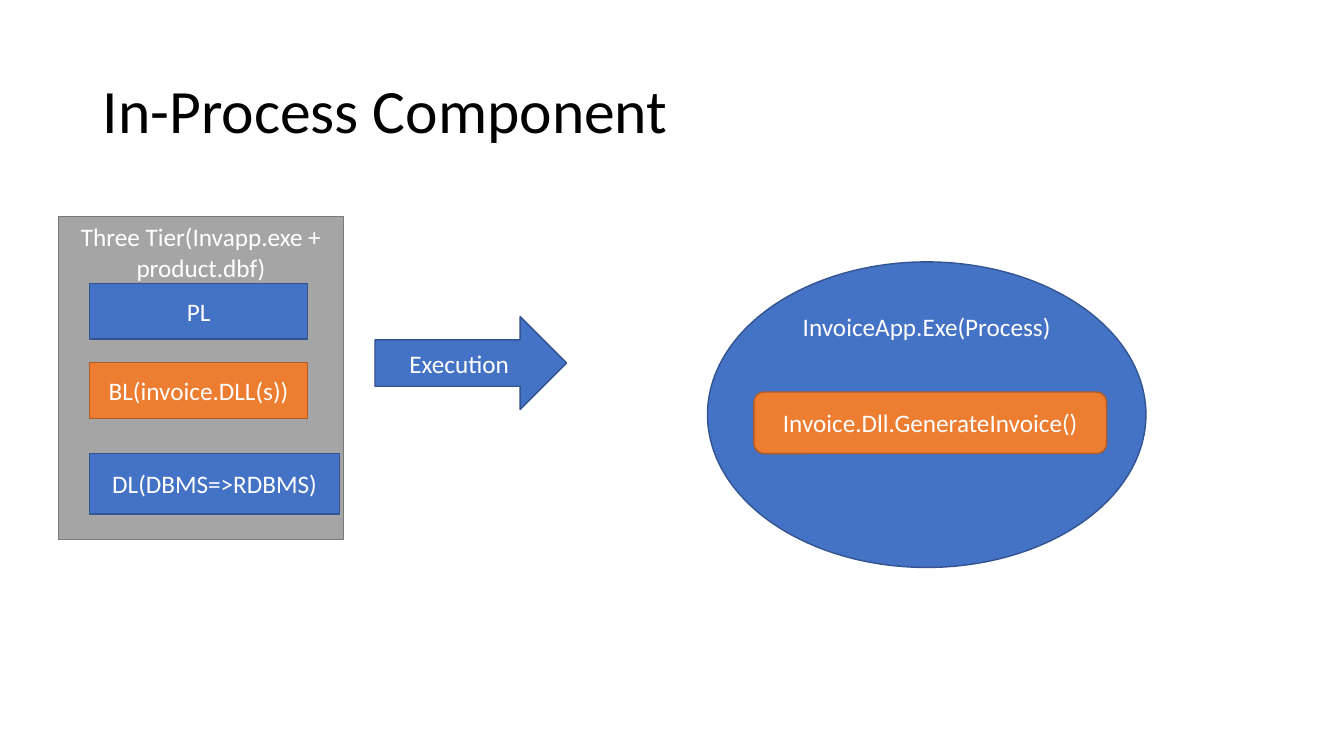
from pptx import Presentation
from pptx.dml.color import RGBColor
from pptx.enum.shapes import MSO_SHAPE as Kind
from pptx.enum.text import MSO_ANCHOR as Anchor, PP_ALIGN as Align
from pptx.util import Cm, Pt

# Content
FONT = "Calibri"
TITLE = "In-Process Component"
GREY, BLUE, ORANGE = ("A5A5A5", "7A7A7A"), ("4472C4", "325491"), ("ED7D31", "AF5C24")
TOP, MID = Anchor.TOP, Anchor.MIDDLE
TIER_X = 2.26

# Kind, (left, top, width, height) in cm, (fill, line), anchor, text
PARTS = [
    (Kind.RECTANGLE, (1.47, 5.46, 7.19, 8.13), GREY, TOP,
     "Three Tier(Invapp.exe + product.dbf)"),
    (Kind.RECTANGLE, (TIER_X, 7.14, 5.49, 1.4), BLUE, MID, "PL"),
    (Kind.RECTANGLE, (TIER_X, 11.43, 6.3, 1.52), BLUE, MID, "DL(DBMS=>RDBMS)"),
    (Kind.RECTANGLE, (TIER_X, 9.14, 5.49, 1.4), ORANGE, MID, "BL(invoice.DLL(s))"),
    (Kind.RIGHT_ARROW, (9.45, 7.98, 4.83, 2.34), BLUE, MID, "Execution"),
    (Kind.OVAL, (17.83, 6.6, 11.05, 7.7), BLUE, TOP, "InvoiceApp.Exe(Process)"),
    (Kind.ROUNDED_RECTANGLE, (19, 9.88, 8.89, 1.55), ORANGE, MID,
     "Invoice.Dll.GenerateInvoice()"),
]


def color(code):
    return RGBColor.from_string(code)


def write(shape, text, size, code, align, anchor):
    frame = shape.text_frame
    frame.word_wrap = True
    frame.vertical_anchor = anchor
    para = frame.paragraphs[0]
    para.alignment = align
    run = para.add_run()
    run.text = text
    run.font.name = FONT
    run.font.size = Pt(size)
    run.font.color.rgb = color(code)
    return para


deck = Presentation()
deck.slide_width, deck.slide_height = Cm(33.87), Cm(19.05)
slide = deck.slides.add_slide(deck.slide_layouts[6])

# Title
title = slide.shapes.add_textbox(Cm(2.34), Cm(1.02), Cm(29.21), Cm(3.68))
write(title, TITLE, 44, "000000", Align.LEFT, MID).line_spacing = 0.9

# Tiers, arrow and process
for kind, box, (fill, line), anchor, text in PARTS:
    shape = slide.shapes.add_shape(kind, *map(Cm, box))
    shape.shadow.inherit = False
    shape.fill.solid()
    shape.fill.fore_color.rgb = color(fill)
    shape.line.color.rgb = color(line)
    shape.line.width = Pt(1)
    write(shape, text, 18, "FFFFFF", Align.CENTER, anchor)

deck.save("out.pptx")
